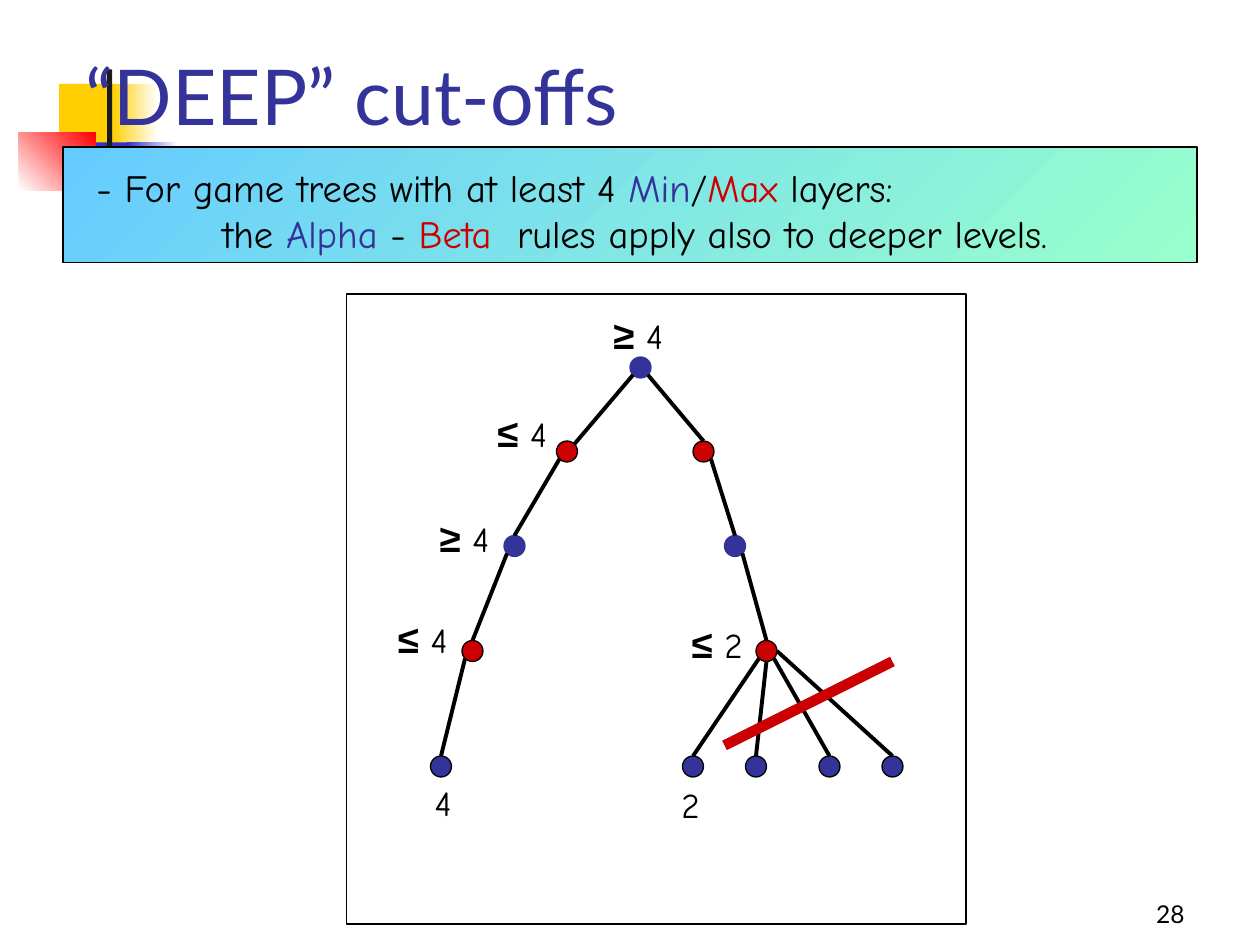
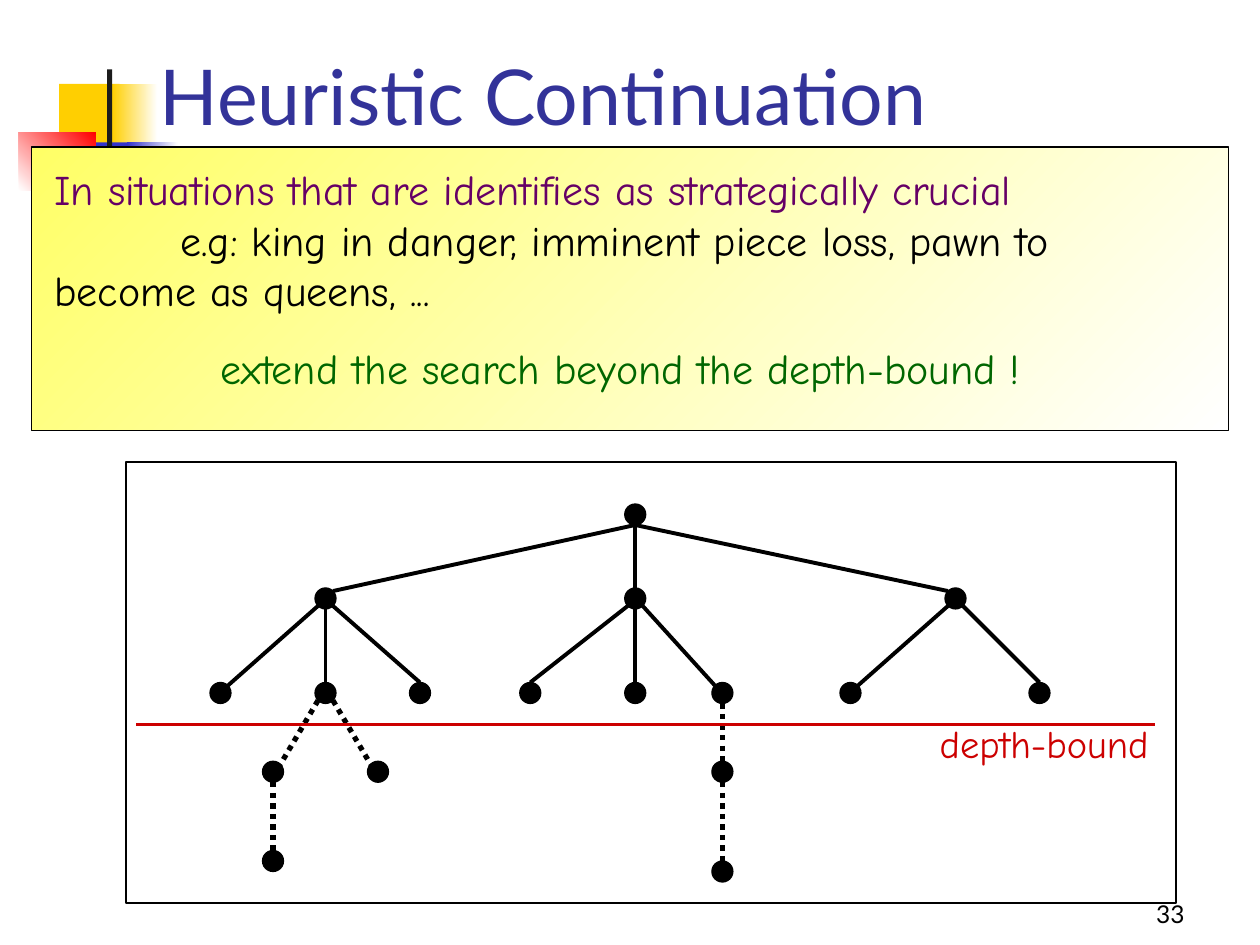
"""Build two slides on game-tree search: deep cut-offs and heuristic continuation."""
from math import sqrt
from typing import NamedTuple, Optional

from lxml.etree import SubElement
from pptx import Presentation
from pptx.dml.color import RGBColor
from pptx.enum.dml import MSO_LINE_DASH_STYLE as Dash
from pptx.enum.shapes import MSO_CONNECTOR as Conn, MSO_SHAPE as Shape
from pptx.enum.text import MSO_ANCHOR as Anchor, PP_ALIGN as Align
from pptx.oxml.ns import qn
from pptx.util import Emu, Inches, Pt

COLS, ROWS = 120, 90
CELL = Inches(10) / COLS
RADIUS = 1
DIAG = RADIUS / sqrt(2)
SITES = {
    "N": (0, -RADIUS), "S": (0, RADIUS), "E": (RADIUS, 0),
    "NE": (DIAG, -DIAG), "NW": (-DIAG, -DIAG),
    "SE": (DIAG, DIAG), "SW": (-DIAG, DIAG),
}
COLORS = {
    "black": "000000", "white": "FFFFFF", "ink": "1C1C1C",
    "navy": "333399", "crimson": "CC0000", "gold": "FFCF01",
    "indigo": "3333CC", "red": "FF0000", "sky": "66CCFF",
    "mint": "99FFCC", "lemon": "FFFF66", "purple": "660066",
    "green": "006600",
}
STYLES = {
    "title": {"name": "Lato", "size": Pt(44)},
    "number": {"name": "Lato", "size": Pt(14)},
    "note": {"name": "Comic Neue", "size": Pt(22)},
    "lead": {"name": "Comic Neue", "size": Pt(24)},
    "value": {"name": "Comic Neue", "size": Pt(20), "bold": False},
    "sign": {"name": "Arial", "size": Pt(22), "bold": True},
}


class Box(NamedTuple):
    """A rectangle in grid columns and rows."""
    col: float
    row: float
    cols: float
    rows: float


class Panel(NamedTuple):
    """A filled rectangle; a second colour makes a gradient."""
    box: Box
    fill: str
    fade: Optional[str] = None
    angle: int = 0
    line: Optional[str] = None


class Run(NamedTuple):
    """A stretch of text in one style and colour."""
    text: str
    style: str
    color: str = "black"


class Para(NamedTuple):
    """A paragraph and its first-line indent in columns."""
    runs: list[Run]
    indent: float = 0


class Node(NamedTuple):
    """A tree node, placed by its centre."""
    col: float
    row: float
    fill: str = "black"
    line: str = "black"


class Edge(NamedTuple):
    """A tree branch between sites on two nodes."""
    parent: str
    start: str
    child: str
    end: str
    dotted: bool = False


MOTIF = [
    Panel(Box(5.64, 8, 5.76, 6.24), "gold"),
    Panel(Box(10.68, 8, 4.32, 6.24), "gold", "white"),
    Panel(Box(7.32, 13.56, 5.52, 6.24), "indigo"),
    Panel(Box(12.12, 13.56, 4.8, 6.24), "indigo", "white"),
    Panel(Box(1.8, 12.6, 7.32, 5.52), "white", "red", 45),
    Panel(Box(10.2, 6.6, 0.48, 13.8), "ink"),
]
NUMBER_BOX = Box(89, 83, 25, 6)


def rgb(name: str) -> RGBColor:
    """Look up a named colour."""
    return RGBColor.from_string(COLORS[name])


def emu(*cells: float) -> list[Emu]:
    """Turn grid cells into slide lengths."""
    return [Emu(round(n * CELL)) for n in cells]


def add_filled(slide, kind: Shape, panel: Panel) -> None:
    """Draw a preset shape with its fill and outline."""
    sp = slide.shapes.add_shape(kind, *emu(*panel.box))
    sp.shadow.inherit = False
    if panel.fade:
        sp.fill.gradient()
        sp.fill.gradient_angle = panel.angle
        for stop, name in zip(sp.fill.gradient_stops, (panel.fill, panel.fade)):
            stop.color.rgb = rgb(name)
    else:
        sp.fill.solid()
        sp.fill.fore_color.rgb = rgb(panel.fill)
    if panel.line:
        sp.line.color.rgb = rgb(panel.line)
        sp.line.width = Pt(0.75)
    else:
        sp.line.fill.background()


def add_text(slide, box: Box, paras: list[Para], wrap: bool = True,
             anchor: Anchor = Anchor.TOP, align: Align = Align.LEFT) -> None:
    """Write paragraphs in a text box; a newline in a run breaks the line."""
    tf = slide.shapes.add_textbox(*emu(*box)).text_frame
    tf.word_wrap, tf.vertical_anchor = wrap, anchor
    for i, para in enumerate(paras):
        p = tf.add_paragraph() if i else tf.paragraphs[0]
        p.alignment = align
        if para.indent:
            p._p.get_or_add_pPr().set("indent", str(emu(para.indent)[0]))
        for run in para.runs:
            for n, line in enumerate(run.text.split("\n")):
                if n:
                    p.add_line_break()
                r = p.add_run()
                r.text = line
                r.font.color.rgb = rgb(run.color)
                for key, value in STYLES[run.style].items():
                    setattr(r.font, key, value)


def add_line(slide, start: tuple[float, float], end: tuple[float, float],
             color: str = "black", width: float = 2.25, dotted: bool = False) -> None:
    """Draw a straight line between two grid points."""
    cxn = slide.shapes.add_connector(Conn.STRAIGHT, *emu(*start, *end))
    SubElement(cxn._element.spPr, qn("a:effectLst"))
    cxn.line.color.rgb = rgb(color)
    cxn.line.width = Pt(width)
    if dotted:
        cxn.line.dash_style = Dash.ROUND_DOT


def add_tree(slide, nodes: dict[str, Node], edges: list[Edge]) -> None:
    """Draw the nodes of a tree and the branches between them."""
    def site(node: Node, name: str) -> tuple[float, float]:
        """Find a point on a node's rim."""
        dx, dy = SITES[name]
        return node.col + dx, node.row + dy

    for node in nodes.values():
        box = Box(node.col - RADIUS, node.row - RADIUS, 2 * RADIUS, 2 * RADIUS)
        add_filled(slide, Shape.OVAL, Panel(box, node.fill, line=node.line))
    for e in edges:
        add_line(slide, site(nodes[e.parent], e.start), site(nodes[e.child], e.end),
                 width=3 if e.dotted else 2.25, dotted=e.dotted)


def add_base(prs, title: str, title_box: Box, number: int, panels: list[Panel]):
    """Add a slide with the shared motif, title, number and panels."""
    slide = prs.slides.add_slide(prs.slide_layouts[6])
    for panel in MOTIF:
        add_filled(slide, Shape.RECTANGLE, panel)
    add_text(slide, NUMBER_BOX, [Para([Run(str(number), "number")])],
             anchor=Anchor.BOTTOM, align=Align.RIGHT)
    add_text(slide, title_box, [Para([Run(title, "title", "navy")])], anchor=Anchor.BOTTOM)
    for panel in panels:
        add_filled(slide, Shape.RECTANGLE, panel)
    return slide


def add_cutoffs(prs) -> None:
    """Build the slide on deep cut-offs."""
    slide = add_base(prs, "“DEEP” cut-offs", Box(7, 2, 102, 12), 28, [
        Panel(Box(6, 14, 108, 11), "sky", "mint", 315, "black"),
        Panel(Box(33, 28, 59, 60), "white", line="black"),
    ])
    add_text(slide, Box(8, 15, 103, 10), [
        Para([Run("- For game trees with at least 4 ", "note"), Run("Min", "note", "navy"),
              Run("/", "note"), Run("Max", "note", "crimson"), Run(" layers:", "note")]),
        Para([Run("the ", "note"), Run("Alpha", "note", "navy"), Run(" - ", "note"),
              Run("Beta", "note", "crimson"),
              Run("  rules apply also to deeper levels.", "note")], indent=12),
    ])
    max_look, min_look, leaf_look = ("navy", "navy"), ("crimson", "black"), ("navy", "black")
    nodes = {
        "root": Node(61, 35, *max_look),
        "left min": Node(54, 43, *min_look),
        "left max": Node(49, 52, *max_look),
        "left low": Node(45, 62, *min_look),
        "left leaf": Node(42, 73, *leaf_look),
        "right min": Node(67, 43, *min_look),
        "right max": Node(70, 52, *max_look),
        "right low": Node(73, 62, *min_look),
    }
    edges = [
        Edge("root", "SW", "left min", "NE"),
        Edge("left min", "SW", "left max", "N"),
        Edge("left max", "SW", "left low", "N"),
        Edge("left low", "SW", "left leaf", "N"),
        Edge("root", "SE", "right min", "N"),
        Edge("right min", "SE", "right max", "N"),
        Edge("right max", "SE", "right low", "N"),
    ]
    for col, start in zip((66, 72, 79, 85), ("SW", "S", "SE", "E")):
        leaf = f"right leaf {start}"
        nodes[leaf] = Node(col, 73, *leaf_look)
        edges.append(Edge("right low", start, leaf, "N"))
    add_tree(slide, nodes, edges)
    bounds = [("≥", 4, 57.24, 29.04), ("≤", 4, 46.2, 38.4), ("≥", 4, 40.68, 48.36),
              ("≤", 4, 36.72, 57.96), ("≤", 2, 64.68, 58.44)]
    for sign, value, col, row in bounds:
        add_text(slide, Box(col, row, 8.04, 5.64),
                 [Para([Run(sign, "sign"), Run(f" {value}", "value")])], wrap=False)
    for value, col, row in ((4, 40.2, 73.8), (2, 63.72, 74.04)):
        add_text(slide, Box(col, row, 4, 5.28), [Para([Run(str(value), "value")])], wrap=False)
    add_line(slide, (69, 71), (85, 63), "crimson", 6)


def add_continuation(prs) -> None:
    """Build the slide on heuristic continuation."""
    slide = add_base(prs, "Heuristic Continuation", Box(14, 2, 95, 12), 33, [
        Panel(Box(3, 14, 114, 27), "lemon", "white", 315, "black"),
        Panel(Box(12, 44, 100, 42), "white", line="black"),
    ])
    add_text(slide, Box(4, 15, 113, 15.6), [
        Para([Run("In situations that are identifies as strategically crucial", "lead", "purple")]),
        Para([Run("e.g: king in danger, imminent piece loss, pawn to\nbecome as queens, ...",
                  "lead")], indent=12),
    ])
    add_text(slide, Box(19.8, 32, 78.84, 6), [
        Para([Run("extend the search beyond the depth-bound !", "lead", "green")])], wrap=False)
    nodes = {"root": Node(60.5, 49)}
    nodes |= {name: Node(col, 57) for name, col in zip("ABC", (31, 60.5, 91))}
    bound_cols = {"A1": 21, "A2": 31, "A3": 40, "B1": 50.5, "B2": 60.5, "B3": 68.8,
                  "C1": 81, "C2": 99}
    nodes |= {name: Node(col, 66) for name, col in bound_cols.items()}
    nodes |= {name: Node(col, 73.5) for name, col in (("A21", 26), ("A22", 36), ("B31", 68.8))}
    nodes |= {"A211": Node(26, 82), "B311": Node(68.8, 83)}
    add_tree(slide, nodes, [
        Edge("root", "S", "A", "NE"), Edge("root", "S", "B", "N"), Edge("root", "S", "C", "NW"),
        Edge("A", "SW", "A1", "NE"), Edge("A", "S", "A2", "N"), Edge("A", "SE", "A3", "N"),
        Edge("B", "SW", "B1", "N"), Edge("B", "S", "B2", "N"), Edge("B", "SE", "B3", "NW"),
        Edge("C", "SW", "C1", "NE"), Edge("C", "SE", "C2", "N"),
        Edge("A2", "SW", "A21", "NE", True), Edge("A2", "SE", "A22", "NW", True),
        Edge("A21", "S", "A211", "N", True),
        Edge("B3", "S", "B31", "N", True), Edge("B31", "S", "B311", "N", True),
    ])
    add_line(slide, (13, 69), (110, 69), "crimson")
    add_text(slide, Box(88.32, 68, 22.32, 5.64),
             [Para([Run("depth-bound", "note", "crimson")])], wrap=False)


def main() -> None:
    """Build and save the presentation."""
    prs = Presentation()
    prs.slide_width, prs.slide_height = emu(COLS, ROWS)
    add_cutoffs(prs)
    add_continuation(prs)
    prs.save("out.pptx")


if __name__ == "__main__":
    main()
